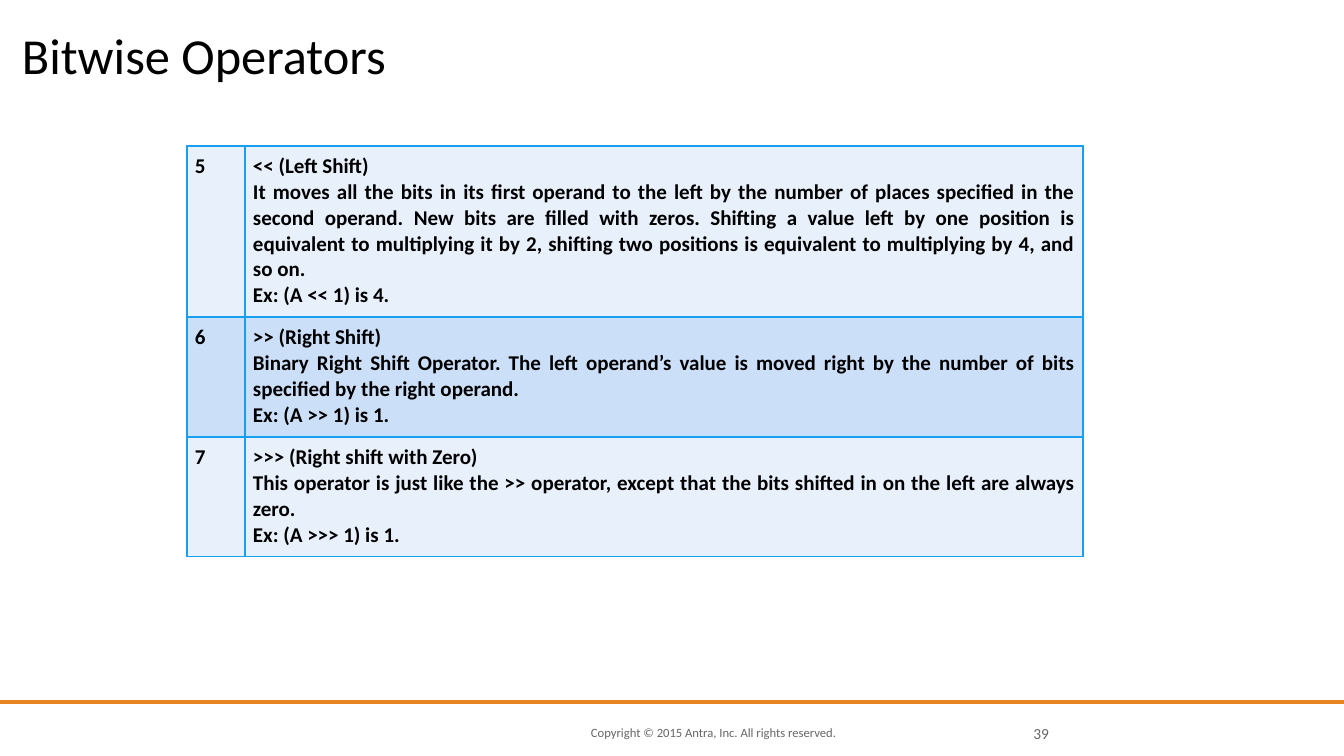
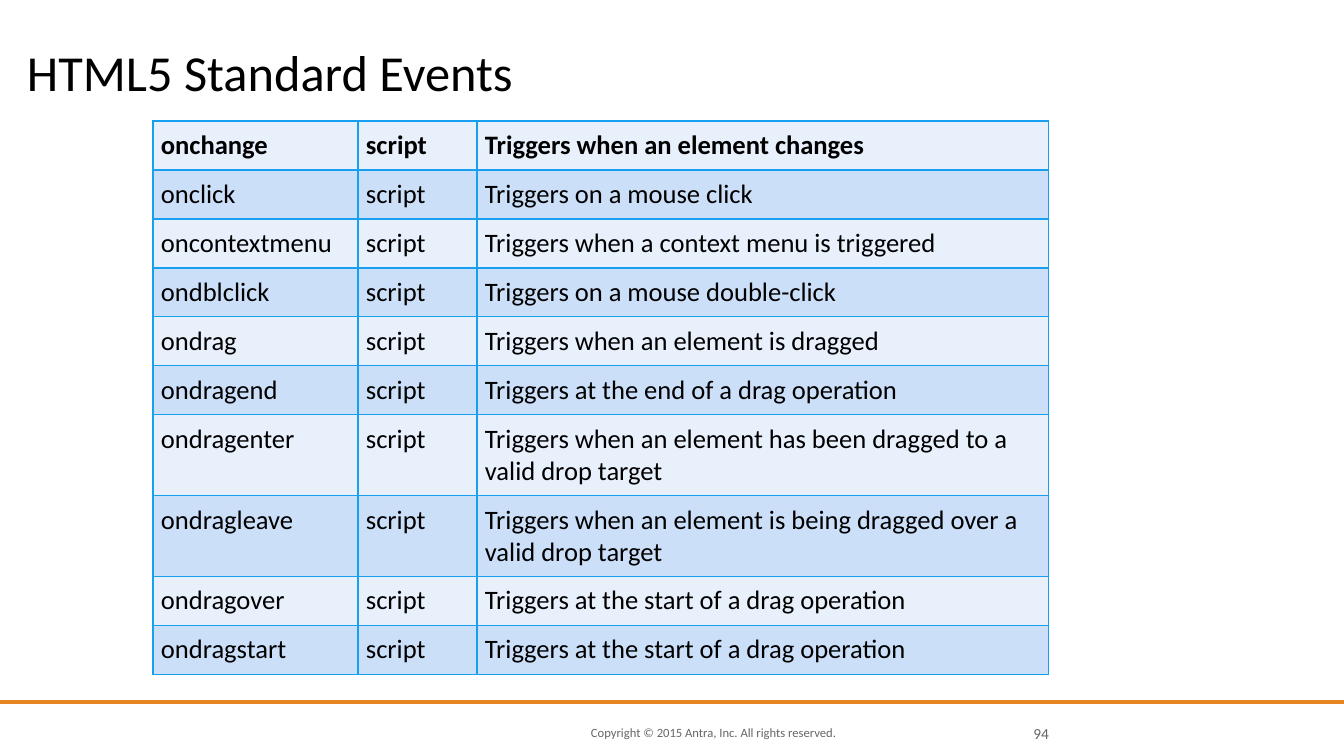
from lxml import etree
from pptx import Presentation
from pptx.dml.color import RGBColor
from pptx.enum.shapes import MSO_SHAPE
from pptx.enum.text import MSO_ANCHOR, MSO_AUTO_SIZE, PP_ALIGN
from pptx.oxml.ns import qn
from pptx.util import Emu, Pt

RECT = MSO_SHAPE.RECTANGLE
MIDDLE, BOTTOM = MSO_ANCHOR.MIDDLE, MSO_ANCHOR.BOTTOM
FIXED = MSO_AUTO_SIZE.NONE
LEFT, RIGHT, JUSTIFY = PP_ALIGN.LEFT, PP_ALIGN.RIGHT, PP_ALIGN.JUSTIFY

BLACK = RGBColor(0x00, 0x00, 0x00)
GREY = RGBColor(0x66, 0x66, 0x66)
ORANGE = RGBColor(0xE6, 0x84, 0x22)
BORDER = RGBColor(0x18, 0x9F, 0xEF)
PALE = RGBColor(0xE8, 0xF0, 0xFC)
LIGHT = RGBColor(0xCC, 0xDF, 0xF9)

FONT = "Calibri"
WIDTH, HEIGHT = 1344, 756
PAD = 8
TITLE_ONLY = 5
NOTICE = "Copyright © 2015 Antra, Inc. All rights reserved."


def px(*sizes):
    return [Emu(round(n * 914400 / 100.8)) for n in sizes]


class Deck:
    def __init__(self):
        self.prs = Presentation()
        self.prs.slide_width, self.prs.slide_height = px(WIDTH, HEIGHT)

    # Text
    def text(self, frame, lines, size, color=BLACK, bold=False, align=LEFT):
        for i, line in enumerate(lines):
            para = frame.add_paragraph() if i else frame.paragraphs[0]
            para.alignment = align
            run = para.add_run()
            run.text = line
            font = run.font
            font.name, font.size, font.bold = FONT, Pt(size), bold
            font.color.rgb = color

    def inset(self, item, pad):
        (item.margin_left, item.margin_right,
         item.margin_top, item.margin_bottom) = px(pad, pad, pad, pad)

    def label(self, box, text, size, align=LEFT):
        frame = self.slide.shapes.add_textbox(*px(*box)).text_frame
        self.inset(frame, 0)
        frame.word_wrap = True
        frame.vertical_anchor = MIDDLE
        self.text(frame, [text], size, GREY, align=align)

    # Slide with its band, footer and title
    def page(self, title, box, number):
        layout = self.prs.slide_layouts[TITLE_ONLY]
        self.slide = self.prs.slides.add_slide(layout)
        self.band()
        self.label((591, 723, 307, 20), NOTICE, 9)
        self.label((1007, 723, 42, 20), number, 11, RIGHT)
        self.title(title, box)

    def band(self):
        bar = self.slide.shapes.add_shape(RECT, *px(0, 700, WIDTH, 4))
        bar.shadow.inherit = False
        bar.fill.solid()
        bar.fill.fore_color.rgb = ORANGE
        bar.line.fill.background()

    def title(self, text, box):
        head = self.slide.shapes.title
        head.left, head.top, head.width, head.height = px(*box)
        frame = head.text_frame
        self.inset(frame, 0)
        frame.auto_size = FIXED
        frame.word_wrap = True
        frame.vertical_anchor = BOTTOM
        self.text(frame, [text], 36)
        frame.paragraphs[0].line_spacing = 0.8

    # Table
    def table(self, spot, cols, heights, rows, size, bold, last=LEFT):
        """Fill a table; the first `bold` rows are bold, `last` aligns the last column."""
        box = px(*spot, sum(cols), sum(heights))
        table = self.slide.shapes.add_table(len(rows), len(cols), *box).table
        table.first_row = table.horz_banding = False
        for col, width in zip(table.columns, px(*cols)):
            col.width = width
        for row, height in zip(table.rows, px(*heights)):
            row.height = height
        for r, texts in enumerate(rows):
            for c, text in enumerate(texts):
                cell = table.cell(r, c)
                align = last if c == len(cols) - 1 else LEFT
                self.inset(cell, PAD)
                self.frame(cell)
                cell.fill.solid()
                cell.fill.fore_color.rgb = LIGHT if r % 2 else PALE
                self.text(cell.text_frame, text.split("\n"), size,
                          bold=r < bold, align=align)

    def frame(self, cell):
        props = cell._tc.get_or_add_tcPr()
        for side in ("a:lnL", "a:lnR", "a:lnT", "a:lnB"):
            line = etree.SubElement(props, qn(side), w=str(Pt(1)))
            fill = etree.SubElement(line, qn("a:solidFill"))
            etree.SubElement(fill, qn("a:srgbClr"), val=str(BORDER))


SHIFTS = [
    ("5", "<< (Left Shift)\n"
          "It moves all the bits in its first operand to the left by the number "
          "of places specified in the second operand. New bits are filled with "
          "zeros. Shifting a value left by one position is equivalent to "
          "multiplying it by 2, shifting two positions is equivalent to "
          "multiplying by 4, and so on.\n"
          "Ex: (A << 1) is 4."),
    ("6", ">> (Right Shift)\n"
          "Binary Right Shift Operator. The left operand’s value is moved right "
          "by the number of bits specified by the right operand.\n"
          "Ex: (A >> 1) is 1."),
    ("7", ">>> (Right shift with Zero)\n"
          "This operator is just like the >> operator, except that the bits "
          "shifted in on the left are always zero.\n"
          "Ex: (A >>> 1) is 1."),
]

EVENTS = [
    ("onchange", "when an element changes"),
    ("onclick", "on a mouse click"),
    ("oncontextmenu", "when a context menu is triggered"),
    ("ondblclick", "on a mouse double-click"),
    ("ondrag", "when an element is dragged"),
    ("ondragend", "at the end of a drag operation"),
    ("ondragenter", "when an element has been dragged to a valid drop target"),
    ("ondragleave", "when an element is being dragged over a valid drop target"),
    ("ondragover", "at the start of a drag operation"),
    ("ondragstart", "at the start of a drag operation"),
]


def main():
    deck = Deck()

    # Bitwise operators
    deck.page("Bitwise Operators", (22, 30, 1227, 54), "39")
    deck.table((187, 146), (58, 838), (171, 120, 120), SHIFTS, 15,
               bold=len(SHIFTS), last=JUSTIFY)

    # Standard events
    deck.page("HTML5 Standard Events", (27, 33, 1227, 68), "94")
    rows = [(name, "script", f"Triggers {when}") for name, when in EVENTS]
    heights = [81 if "valid drop" in when else 49 for _, when in EVENTS]
    deck.table((153, 121), (205, 119, 572), heights, rows, 19, bold=1)

    deck.prs.save("out.pptx")


if __name__ == "__main__":
    main()
